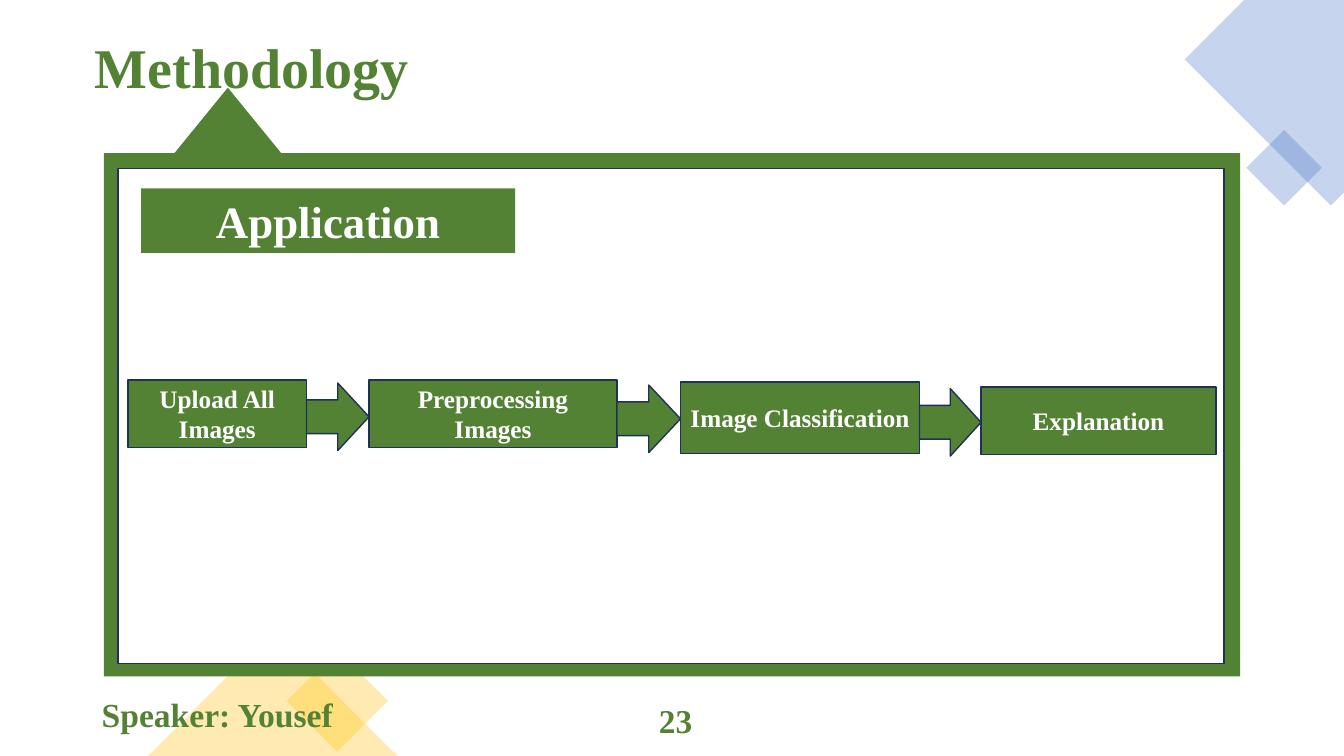
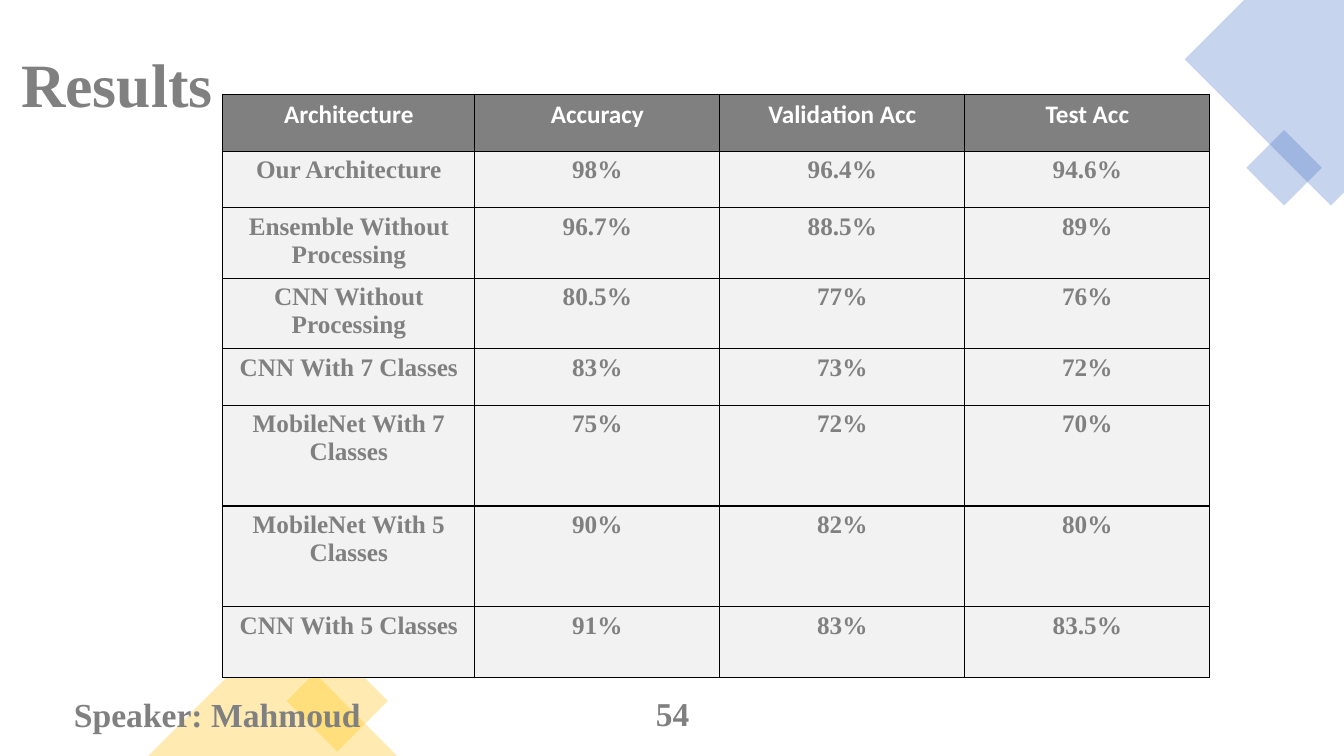
from pptx import Presentation
from pptx.dml.color import RGBColor
from pptx.enum.shapes import MSO_SHAPE
from pptx.enum.text import MSO_ANCHOR, MSO_AUTO_SIZE, PP_ALIGN
from pptx.oxml import parse_xml
from pptx.oxml.ns import nsdecls, qn
from pptx.util import Inches, Pt

RECT, TRIANGLE, ARROW = MSO_SHAPE.RECTANGLE, MSO_SHAPE.ISOSCELES_TRIANGLE, MSO_SHAPE.RIGHT_ARROW
TOP, MIDDLE, BOTTOM = MSO_ANCHOR.TOP, MSO_ANCHOR.MIDDLE, MSO_ANCHOR.BOTTOM
LEFT, CENTER = PP_ALIGN.LEFT, PP_ALIGN.CENTER
NO_FIT = MSO_AUTO_SIZE.NONE

GREEN = RGBColor(0x54, 0x82, 0x35)
GRAY = RGBColor(0x80, 0x80, 0x80)
LIGHT = RGBColor(0xF2, 0xF2, 0xF2)
WHITE = RGBColor(0xFF, 0xFF, 0xFF)
NAVY = RGBColor(0x1E, 0x32, 0x56)
BLUE = RGBColor(0x44, 0x72, 0xC4)
AMBER = RGBColor(0xFF, 0xC0, 0x00)
SERIF, SANS = "Times New Roman", "Calibri"

# Content: boxes are left, top, width, height in inches
METHODOLOGY = {
    "title": ("Methodology", (0.84, 0.13, 4.63, 0.91), 40),
    "speaker": "Speaker: Yousef",
    "number": ("23", (5.01, 6.95, 3.38, 0.4)),
    "accent": GREEN,
}
RESULTS = {
    "title": ("Results", (0.11, 0.4, 3.59, 0.84), 44),
    "speaker": "Speaker: Mahmoud",
    "number": ("54", (4.98, 6.88, 3.38, 0.4)),
    "accent": GRAY,
}
STEPS = [
    ("Upload All Images", (1.27, 3.77, 1.77, 0.67)),
    ("Preprocessing Images", (3.66, 3.77, 2.46, 0.67)),
    ("Image Classification", (6.75, 3.79, 2.37, 0.71)),
    ("Explanation", (9.73, 3.84, 2.33, 0.67)),
]
ARROW_HEIGHT, ARROW_DROP = 0.67, 0.03
SCORES = [
    ("Architecture", "Accuracy", "Validation Acc", "Test Acc"),
    ("Our Architecture", "98%", "96.4%", "94.6%"),
    ("Ensemble Without Processing", "96.7%", "88.5%", "89%"),
    ("CNN Without Processing", "80.5%", "77%", "76%"),
    ("CNN With 7 Classes", "83%", "73%", "72%"),
    ("MobileNet With 7 Classes", "75%", "72%", "70%"),
    ("MobileNet With 5 Classes", "90%", "82%", "80%"),
    ("CNN With 5 Classes", "91%", "83%", "83.5%"),
]
COL_WIDTHS = [2.5, 2.43, 2.43, 2.43]
ROW_HEIGHTS = [0.56, 0.56, 0.7, 0.7, 0.56, 1, 1, 0.7]

# Outlines
CORNER = [(13.33, 0), (12.34, 0), (11.75, 0.59), (13.2, 2.04), (13.33, 1.91)]
FRAME = [(1.03, 6.71), (12.3, 6.71), (12.3, 1.52), (2.79, 1.52),
         (2.26, 0.87), (1.73, 1.52), (1.03, 1.52)]


def inches(box):
    return [Inches(v) for v in box]


def paint(sp, fill, line=None, alpha=None):
    sp.shadow.inherit = False
    sp.fill.solid()
    sp.fill.fore_color.rgb = fill
    if alpha:
        color = sp._element.spPr.find(".//" + qn("a:srgbClr"))
        color.append(parse_xml(f'<a:alpha {nsdecls("a")} val="{alpha * 1000}"/>'))
    if line:
        sp.line.color.rgb = line
        sp.line.width = Pt(1)
    else:
        sp.line.fill.background()


def add_shape(slide, kind, box, fill, line=None, alpha=None, rotation=0):
    sp = slide.shapes.add_shape(kind, *inches(box))
    sp.rotation = rotation
    paint(sp, fill, line, alpha)
    return sp


def add_outline(slide, points, fill, alpha=None):
    points = [inches(point) for point in points]
    builder = slide.shapes.build_freeform(*points[0])
    builder.add_line_segments(points[1:], close=True)
    paint(builder.convert_to_shape(), fill, alpha=alpha)


def write(tf, text, size, color, align=CENTER, font=SERIF):
    tf.text = text
    p = tf.paragraphs[0]
    p.alignment = align
    p.font.name, p.font.size, p.font.bold = font, Pt(size), True
    p.font.color.rgb = color


def frame_text(sp, text, size, color, anchor, align=CENTER):
    tf = sp.text_frame
    tf.word_wrap = True
    tf.auto_size = NO_FIT
    tf.vertical_anchor = anchor
    write(tf, text, size, color, align)
    return tf


def add_footer(slide, text, box, size, color):
    tf = frame_text(slide.shapes.add_textbox(*inches(box)), text, size, color, TOP)
    tf.margin_left = tf.margin_right = tf.margin_top = tf.margin_bottom = 0


def new_slide(prs, page):
    """Slide with the corner decoration, title and footers."""
    slide = prs.slides.add_slide(prs.slide_layouts[5])
    add_outline(slide, CORNER, BLUE, alpha=30)
    add_shape(slide, RECT, (12.47, 1.4, 0.53, 0.53), BLUE, alpha=30, rotation=45)
    add_shape(slide, RECT, (2.99, 6.6, 0.71, 0.71), AMBER, alpha=30, rotation=45)
    add_shape(slide, TRIANGLE, (1.47, 6.26, 2.47, 1.24), AMBER, alpha=30)

    text, box, size = page["title"]
    title = slide.shapes.title
    title.left, title.top, title.width, title.height = inches(box)
    frame_text(title, text, size, page["accent"], BOTTOM, LEFT)

    add_footer(slide, page["speaker"], (0.47, 6.88, 3.37, 0.4), 24, page["accent"])
    add_footer(slide, *page["number"], 23.8, page["accent"])
    return slide


def add_borders(cell):
    tcPr = cell._tc.get_or_add_tcPr()
    for side in ("lnL", "lnR", "lnT", "lnB"):
        tcPr.append(parse_xml(
            f'<a:{side} {nsdecls("a")} w="12700"><a:solidFill>'
            f'<a:srgbClr val="000000"/></a:solidFill></a:{side}>'))


def build_methodology(prs):
    slide = new_slide(prs, METHODOLOGY)
    # Framed panel with its heading
    add_outline(slide, FRAME, GREEN)
    add_shape(slide, RECT, (1.17, 1.67, 10.97, 4.91), WHITE, NAVY)
    heading = add_shape(slide, RECT, (1.4, 1.87, 3.71, 0.64), GREEN)
    frame_text(heading, "Application", 32, WHITE, TOP)
    # Process steps
    for text, box in STEPS:
        frame_text(add_shape(slide, RECT, box, GREEN, NAVY), text, 18, WHITE, MIDDLE)
    # Block arrows filling the gaps between steps
    for (_, a), (_, b) in zip(STEPS, STEPS[1:]):
        start = a[0] + a[2]
        middle = (a[1] + a[3] / 2 + b[1] + b[3] / 2) / 2 + ARROW_DROP
        add_shape(slide, ARROW, (start, middle - ARROW_HEIGHT / 2, b[0] - start, ARROW_HEIGHT),
                  GREEN, NAVY)


def build_results(prs):
    slide = new_slide(prs, RESULTS)
    box = (2.21, 0.94, sum(COL_WIDTHS), sum(ROW_HEIGHTS))
    table = slide.shapes.add_table(len(SCORES), len(COL_WIDTHS), *inches(box)).table
    table.horz_banding = False
    for col, width in zip(table.columns, COL_WIDTHS):
        col.width = Inches(width)
    for r, (row, height) in enumerate(zip(SCORES, ROW_HEIGHTS)):
        table.rows[r].height = Inches(height)
        fill, color, font = (LIGHT, GRAY, SERIF) if r else (GRAY, WHITE, SANS)
        for c, text in enumerate(row):
            cell = table.cell(r, c)
            add_borders(cell)
            cell.fill.solid()
            cell.fill.fore_color.rgb = fill
            write(cell.text_frame, text, 18, color, font=font)


def main():
    prs = Presentation()
    prs.slide_width, prs.slide_height = Inches(13.33), Inches(7.5)
    build_methodology(prs)
    build_results(prs)
    prs.save("out.pptx")


if __name__ == "__main__":
    main()
